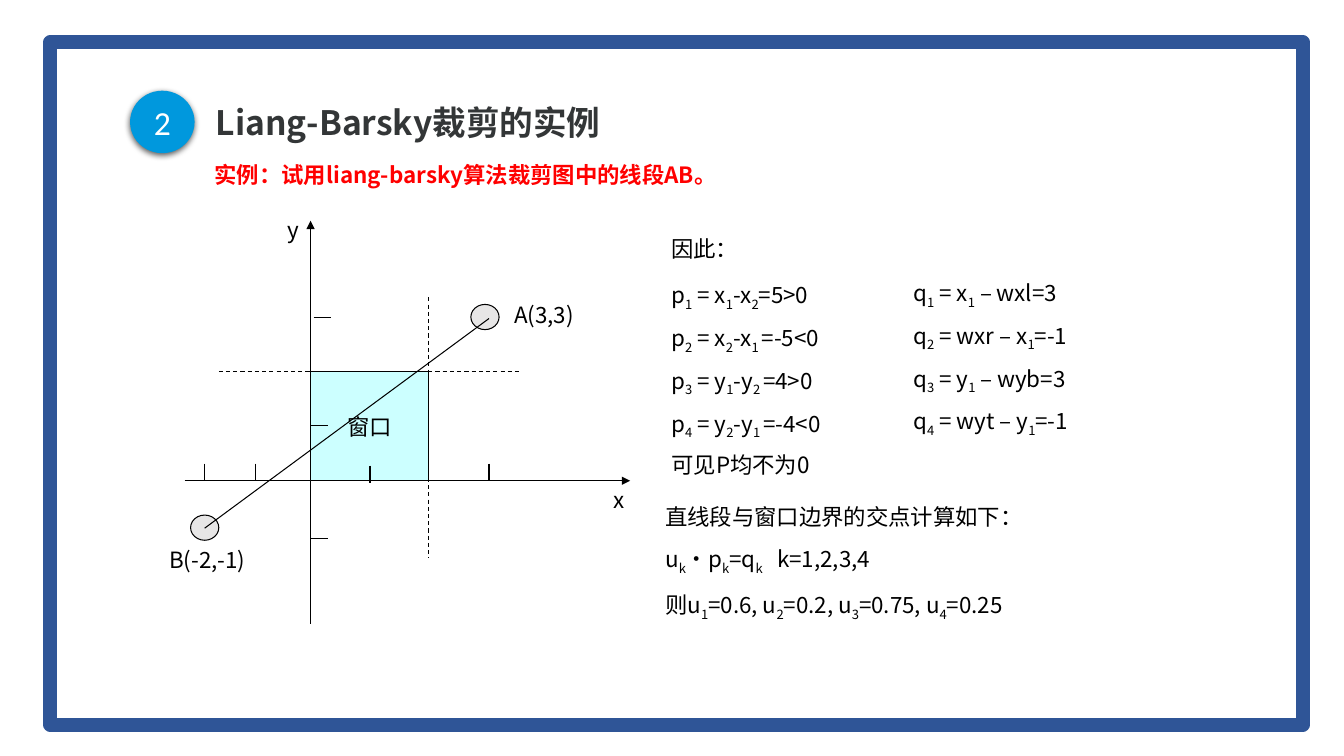
from dataclasses import dataclass

import pptx
import pptx.util
import pptx.dml.color
import pptx.enum.dml
import pptx.enum.shapes
import pptx.enum.text
import pptx.oxml
import pptx.oxml.ns
from lxml import etree

Inches = pptx.util.Inches
Pt = pptx.util.Pt
Shape = pptx.enum.shapes.MSO_SHAPE
Anchor = pptx.enum.text.MSO_ANCHOR
Align = pptx.enum.text.PP_ALIGN
qn = pptx.oxml.ns.qn


@dataclass(frozen=True)
class Theme:
    paper: str = "FFFFFF"
    frame: str = "2F5597"
    badge: str = "0098DD"
    heading: str = "333637"
    task: str = "FF0000"
    ink: str = "000000"
    window: str = "CCFFFF"
    endpoint: str = "E7E6E6"
    font: str = "Noto Sans CJK SC"
    digit_font: str = "Calibri"
    heading_size: int = 24
    body_size: int = 16
    frame_width: float = 10
    line_width: float = 0.75


THEME = Theme()


def rgb(value):
    return pptx.dml.color.RGBColor.from_string(value)


def write(frame, lines, size=THEME.body_size, color=THEME.ink, font=THEME.font,
          bold=False, spacing=None, align=Align.LEFT, tab=None):
    for index, line in enumerate(lines):
        paragraph = frame.paragraphs[0] if index == 0 else frame.add_paragraph()
        paragraph.alignment = align
        if spacing:
            paragraph.line_spacing = spacing
        if tab and "\t" in line:
            stops = etree.SubElement(paragraph._p.get_or_add_pPr(), qn("a:tabLst"))
            etree.SubElement(stops, qn("a:tab"), pos=str(Inches(tab)), algn="l")
        for position, piece in enumerate(line.split("_")):
            if not piece:
                continue
            run = paragraph.add_run()
            run.text = piece
            run.font.size = Pt(size)
            run.font.bold = bold
            run.font.name = font
            run.font.color.rgb = rgb(color)
            properties = run._r.get_or_add_rPr()
            etree.SubElement(properties, qn("a:ea"), typeface=font)
            if position % 2:
                properties.set("baseline", "-25000")


def add_text(shapes, box, lines, wrap=False, anchor=Anchor.TOP, **style):
    frame = shapes.add_textbox(*map(Inches, box)).text_frame
    frame.word_wrap = wrap
    frame.vertical_anchor = anchor
    write(frame, lines, **style)


def add_figure(shapes, kind, box, fill=None, line=None, width=THEME.line_width):
    figure = shapes.add_shape(kind, *map(Inches, box))
    figure.shadow.inherit = False
    if fill:
        figure.fill.solid()
        figure.fill.fore_color.rgb = rgb(fill)
    else:
        figure.fill.background()
    if line:
        figure.line.color.rgb = rgb(line)
        figure.line.width = Pt(width)
    else:
        figure.line.fill.background()
    return figure


def add_line(shapes, start, end, arrow=False, dashed=False):
    line = shapes.add_connector(pptx.enum.shapes.MSO_CONNECTOR.STRAIGHT,
                                *map(Inches, (*start, *end)))
    line.line.color.rgb = rgb(THEME.ink)
    line.line.width = Pt(THEME.line_width)
    if dashed:
        line.line.dash_style = pptx.enum.dml.MSO_LINE.DASH
    if arrow:
        etree.SubElement(line.line._get_or_add_ln(), qn("a:tailEnd"), type="triangle")
    etree.SubElement(line._element.spPr, qn("a:effectLst"))


def draw_frame(shapes, left, top, width, height):
    add_figure(shapes, Shape.RECTANGLE, (left, top, width, height),
               THEME.paper, THEME.frame, THEME.frame_width)


def draw_heading(shapes, left, top):
    add_text(shapes, (left + 0.75, top + 0.03, 8.35, 0.61), ["Liang-Barsky裁剪的实例"],
             wrap=True, anchor=Anchor.MIDDLE, size=THEME.heading_size,
             color=THEME.heading, bold=True, spacing=0.9)
    badge = add_figure(shapes, Shape.OVAL, (left, top, 0.64, 0.62), THEME.badge)
    effects = badge._element.spPr.find(qn("a:effectLst"))
    shadow = etree.SubElement(effects, qn("a:outerShdw"), blurRad=str(Pt(4.5)),
                              dist=str(Pt(1.5)), dir="5400000", algn="t", rotWithShape="0")
    shade = etree.SubElement(shadow, qn("a:srgbClr"), val=THEME.ink)
    etree.SubElement(shade, qn("a:alpha"), val="63000")
    badge.text_frame.vertical_anchor = Anchor.MIDDLE
    write(badge.text_frame, ["2"], size=THEME.heading_size, color=THEME.paper,
          font=THEME.digit_font, align=Align.CENTER)
    add_text(shapes, (left + 0.74, top + 0.65, 10, 0.37),
             ["实例：试用liang-barsky算法裁剪图中的线段AB。"],
             wrap=True, color=THEME.task, bold=True)


def draw_diagram(shapes, left, top):
    parts = shapes.add_group_shape().shapes
    origin_x, origin_y = left + 1.5, top + 2.67
    window_width, window_height = 1.17, 1.08
    window_right, window_top = origin_x + window_width, origin_y - window_height
    tick = 0.17

    add_line(parts, (left + 0.25, origin_y), (left + 4.67, origin_y), arrow=True)
    add_line(parts, (origin_x, top + 4.09), (origin_x, top + 0.09), arrow=True)
    window = add_figure(parts, Shape.RECTANGLE,
                        (origin_x, window_top, window_width, window_height),
                        THEME.window, THEME.ink)
    window.text_frame.word_wrap = False
    window.text_frame.vertical_anchor = Anchor.MIDDLE
    write(window.text_frame, ["窗口"], align=Align.CENTER)

    for offset, drop in ((-1.05, 0), (-0.55, 0), (0.59, 0.02), (1.77, 0)):
        x, y = origin_x + offset, origin_y + drop
        add_line(parts, (x, y - tick), (x, y))
    for offset, shift in ((-1.62, 0.03), (-0.55, 0), (0.57, 0)):
        x, y = origin_x + shift, origin_y + offset
        add_line(parts, (x, y), (x + tick, y))

    point_b = (origin_x - 1.05, origin_y + 0.47)
    point_a = (origin_x + 1.73, origin_y - 1.62)
    for x, y in (point_b, point_a):
        add_figure(parts, Shape.OVAL, (x - 0.14, y - 0.13, 0.28, 0.25),
                   THEME.endpoint, THEME.ink)
    add_line(parts, point_b, (point_a[0] + 0.04, point_a[1] + 0.01))

    for label, x, y, width in (("B(-2,-1)", 0, 3.27, 1), ("A(3,3)", 3.42, 0.84, 0.83),
                               ("x", 4.41, 2.67, 0.32), ("y", 1.17, 0, 0.32)):
        add_text(parts, (left + x, top + y, width, 0.37), [label])

    add_line(shapes, (left + 0.59, window_top), (left + 3.59, window_top), dashed=True)
    add_line(shapes, (window_right, top + 0.85), (window_right, top + 3.43), dashed=True)


def draw_solution(shapes, left, top):
    add_text(shapes, (left + 0.06, top, 0.88, 0.37), ["因此："])
    add_text(shapes, (left + 0.06, top + 0.34, 2.05, 1.99), [
        "p_1_ = x_1_-x_2_=5>0",
        "p_2_ = x_2_-x_1 _=-5<0",
        "p_3_ = y_1_-y_2 _=4>0",
        "p_4_ = y_2_-y_1 _=-4<0",
        "可见P均不为0",
    ], spacing=1.4)
    add_text(shapes, (left + 2.46, top + 0.32, 1.97, 1.57), [
        "q_1_ = x_1_ – wxl=3",
        "q_2_ = wxr – x_1_=-1",
        "q_3_ = y_1_ – wyb=3",
        "q_4_ = wyt – y_1_=-1",
    ], spacing=1.4)
    add_text(shapes, (left, top + 2.53, 6.67, 1.31), [
        "直线段与窗口边界的交点计算如下：",
        "u_k_·p_k_=q_k_\tk=1,2,3,4",
        "则u_1_=0.6, u_2_=0.2, u_3_=0.75, u_4_=0.25",
    ], wrap=True, spacing=1.5, tab=1.11)


def main():
    deck = pptx.Presentation()
    deck.slide_width, deck.slide_height = Inches(13.33), Inches(7.5)
    shapes = deck.slides.add_slide(deck.slide_layouts[6]).shapes
    draw_frame(shapes, 0.5, 0.42, 12.42, 6.77)
    draw_heading(shapes, 1.29, 0.9)
    draw_diagram(shapes, 1.58, 2.1)
    draw_solution(shapes, 6.5, 2.28)
    deck.save("out.pptx")


if __name__ == "__main__":
    main()
